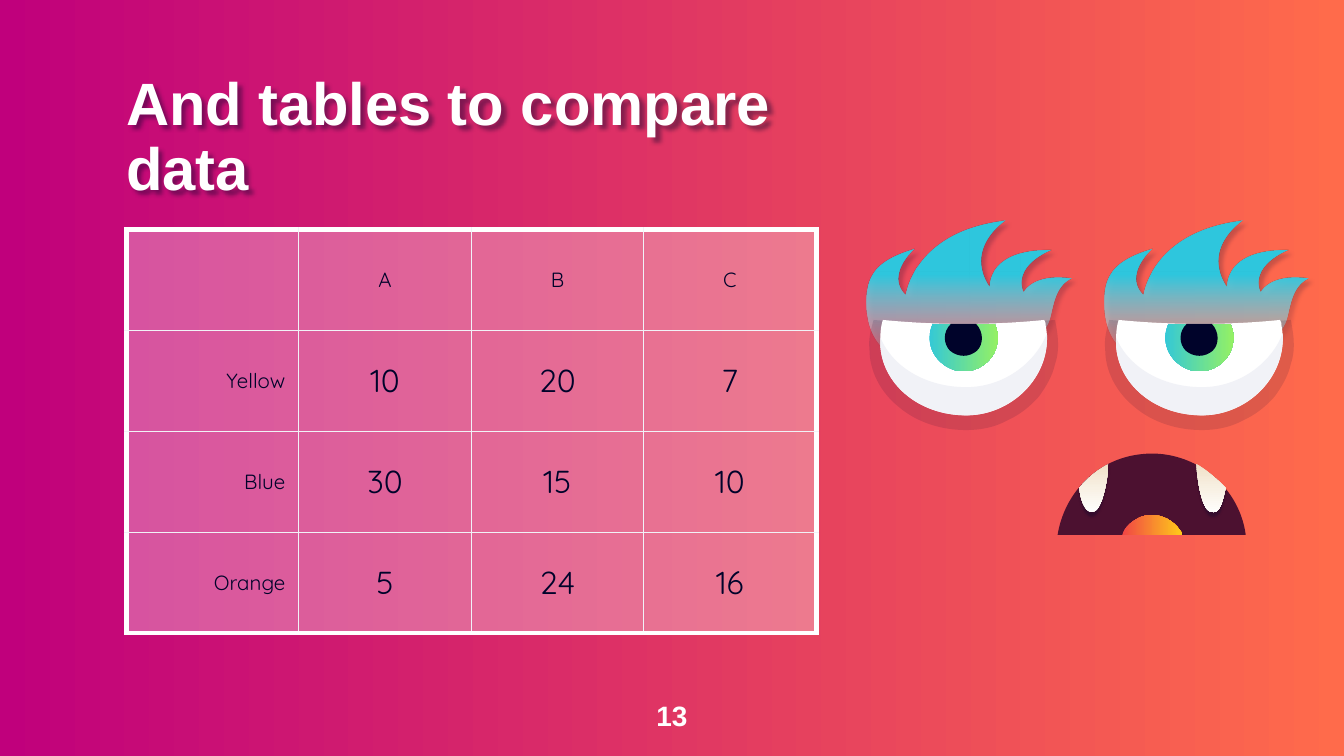
from dataclasses import dataclass
from typing import Any, Optional

from pptx import Presentation
from pptx.dml.color import RGBColor
from pptx.enum.text import MSO_ANCHOR as Anchor, PP_ALIGN as Align
from pptx.oxml.ns import qn
from pptx.oxml.xmlchemy import OxmlElement
from pptx.util import Pt

NAVY, WHITE, PALE = "00032A", "FFFFFF", "F1F2F7"


@dataclass(frozen=True)
class Stop:
    position: int
    color: str
    opacity: int = 100


@dataclass(frozen=True)
class Shadow:
    opacity: int
    blur: float
    distance: float
    angle: int = 90


@dataclass(frozen=True)
class Part:
    """A closed outline: a start point, then three Bezier points per curve."""
    points: list[tuple[float, float]]
    stops: list[Stop]
    angle: int = 0
    shadow: Optional[Shadow] = None


BROW = Part([
    (561.6, 172.1), (561.6, 172.1), (550.1, 200.2), (512.6, 199.4),
    (469.4, 198), (465.1, 175.7), (464.4, 165.6),
    (463.7, 150.5), (465.8, 140.4), (490.3, 133.2),
    (490.3, 133.2), (474.5, 146.9), (485.3, 157.7),
    (485.3, 157.7), (489.6, 123.8), (538.6, 118.1),
    (538.6, 118.1), (516.2, 132.5), (529.9, 153.4),
    (529.9, 153.4), (528.5, 133.2), (563, 133.9),
    (563, 133.9), (542.2, 141.8), (547.9, 156.2),
    (551.5, 150.5), (560.2, 146.9), (573.8, 149),
    (563.8, 153.4), (563.8, 167), (561.6, 172.1),
], [Stop(0, "2EC6DD"), Stop(35, "2EC6DD"), Stop(100, WHITE, 0)], 90, Shadow(20, 2.2, 3, 45))

SOCKET = Part([
    (565.2, 171.4), (548.6, 172.8), (532.8, 173.5), (516.2, 173.5),
    (500.4, 173.5), (483.8, 172.8), (468, 171.4),
    (466.6, 176.4), (465.1, 181.4), (465.8, 187.2),
    (465.8, 198.7), (471.6, 210.2), (481.7, 218.2),
    (491, 226.1), (504, 230.4), (517.7, 230.4),
    (524.9, 230.4), (532.8, 229), (539.3, 225.4),
    (545.8, 222.5), (551.5, 218.2), (556.6, 212.4),
    (560.2, 207.4), (563.8, 201.6), (565.2, 195.1),
    (567.4, 188.6), (567.4, 182.2), (565.2, 171.4),
], [Stop(0, "09052E", 12)])
EYEBALL = Part([
    (559.4, 171.4), (545.8, 172.8), (531.4, 173.5), (516.2, 173.5),
    (501.8, 173.5), (487.4, 172.8), (473, 171.4),
    (471.6, 175.7), (471.6, 180), (471.6, 184.3),
    (472.3, 205.2), (491.8, 222.5), (517.7, 222.5),
    (543.6, 222.5), (565.2, 199.4), (560.2, 174.2),
    (560.2, 173.5), (560.2, 172.1), (559.4, 171.4),
], [Stop(0, WHITE)])
EYE_SHADE = Part([
    (517.7, 207.4), (496.1, 207.4), (478.1, 196.6), (471.6, 180.7),
    (471.6, 181.4), (471.6, 182.9), (471.6, 184.3),
    (472.3, 205.2), (491.8, 222.5), (517.7, 222.5),
    (541.4, 222.5), (562.3, 202.3), (560.9, 178.6),
    (554.4, 195.1), (537.1, 207.4), (517.7, 207.4),
], [Stop(0, PALE)])
IRIS = Part([
    (499.7, 173.5), (495.4, 182.9), (499.7, 193), (509, 197.3),
    (517.7, 201.6), (528.5, 197.3), (532.8, 188.6),
    (535, 183.6), (535, 177.8), (532.8, 173.5),
], [Stop(0, "2EC6DD"), Stop(100, "95F163")])
PUPIL = Part([
    (509.5, 173.5), (504.9, 177.8), (505.4, 184.3), (509, 187.9),
    (513.4, 191.5), (519.1, 191.5), (523.4, 187.9),
    (527, 184.3), (527, 177.8), (522.9, 173.5),
], [Stop(0, NAVY)])
EYE = [SOCKET, EYEBALL, EYE_SHADE, IRIS, PUPIL]

TOOTH_STOPS = [Stop(0, "F0E0C7"), Stop(50, "F8F1E4"), Stop(100, WHITE)]
TOOTH_SHADOW = Shadow(30, 1.1, 2.2)
MOUTH = [
    Part([(667.4, 286.6), (663.8, 259.2), (637.9, 239.8), (610.6, 243.4),
          (587.5, 246.2), (570.2, 264.2), (566.6, 286.6)], [Stop(0, "4C1130")]),
    Part([(633.6, 286.6), (629.3, 277.9), (619.2, 273.6), (610.6, 277.2),
          (606.2, 279.4), (602.6, 282.2), (601.2, 286.6)],
         [Stop(0, "F14545"), Stop(100, "FFCC19")]),
    Part([(594, 248.4), (587.5, 252), (582.5, 256.3), (578.2, 261.4),
          (578.9, 267.8), (581, 273.6), (584.6, 274.3),
          (590.4, 275), (593.3, 257), (594, 248.4)], TOOTH_STOPS, 90, TOOTH_SHADOW),
    Part([(656.6, 261.4), (651.6, 256.3), (646.6, 252), (640.8, 248.4),
          (641.5, 256.3), (643.7, 275.8), (650.2, 274.3),
          (653.8, 274.3), (655.2, 267.8), (656.6, 261.4)], TOOTH_STOPS, 90, TOOTH_SHADOW),
]
TABLE_ROWS = [["", "A", "B", "C"], ["Yellow", "10", "20", "7"],
              ["Blue", "30", "15", "10"], ["Orange", "5", "24", "16"]]


def rgb(color: str) -> RGBColor:
    return RGBColor.from_string(color)


def add_element(parent: Any, tag: str, **attributes: Any) -> Any:
    element = OxmlElement(tag)
    for name, value in attributes.items():
        element.set(name, str(value))
    parent.append(element)
    return element


def add_color(parent: Any, color: str, opacity: int = 100) -> None:
    element = add_element(parent, "a:srgbClr", val=str(rgb(color)))
    if opacity < 100:
        add_element(element, "a:alpha", val=opacity * 1000)


def set_fill(fill: Any, properties: Any, stops: list[Stop], angle: int = 0) -> None:
    """Fill solid for one stop, otherwise with a gradient turned clockwise."""
    if len(stops) == 1:
        fill.solid()
        holder = properties.find(qn("a:solidFill"))
        add_color(holder, stops[0].color, stops[0].opacity)
        return
    fill.gradient()
    fill.gradient_angle = -angle % 360
    holder = properties.find(qn("a:gradFill")).find(qn("a:gsLst"))
    for default_stop in list(holder):
        holder.remove(default_stop)
    for stop in stops:
        element = add_element(holder, "a:gs", pos=stop.position * 1000)
        add_color(element, stop.color, stop.opacity)


def set_shadow(shape: Any, shadow: Optional[Shadow]) -> None:
    shape.shadow.inherit = False
    if shadow:
        effects = shape._element.spPr.find(qn("a:effectLst"))
        element = add_element(effects, "a:outerShdw", blurRad=Pt(shadow.blur),
                              dist=Pt(shadow.distance), dir=shadow.angle * 60000,
                              algn="bl", rotWithShape=0)
        add_color(element, NAVY, shadow.opacity)


def curve_segments(shape: Any) -> None:
    """Join every three line segments of a freeform into one Bezier curve."""
    lines = list(shape._element.iter(qn("a:lnTo")))
    for first in range(0, len(lines), 3):
        curve = OxmlElement("a:cubicBezTo")
        lines[first].addprevious(curve)
        for line in lines[first:first + 3]:
            curve.append(line[0])
            line.getparent().remove(line)


def draw_part(shapes: Any, part: Part, offset: float = 0) -> None:
    start, *rest = [(Pt(x + offset), Pt(y)) for x, y in part.points]
    builder = shapes.build_freeform(*start)
    builder.add_line_segments(rest, close=True)
    shape = builder.convert_to_shape()
    curve_segments(shape)
    set_fill(shape.fill, shape._element.spPr, part.stops, part.angle)
    shape.line.fill.background()
    set_shadow(shape, part.shadow)


def draw_group(shapes: Any, parts: list[Part], offset: float = 0) -> None:
    group = shapes.add_group_shape()
    for part in parts:
        draw_part(group.shapes, part, offset)


def format_text(paragraph: Any, size: float, font_name: str, color: str,
                align: Align, bold: bool = False) -> None:
    paragraph.alignment = align
    for run in paragraph.runs:
        run.font.size, run.font.name, run.font.bold = Pt(size), font_name, bold
        run.font.color.rgb = rgb(color)


def draw_text(shapes: Any, text: str, left: float, top: float, width: float, height: float,
              size: float, align: Align, anchor: Anchor) -> Any:
    box = shapes.add_textbox(Pt(left), Pt(top), Pt(width), Pt(height))
    frame = box.text_frame
    frame.margin_left = frame.margin_right = frame.margin_top = frame.margin_bottom = 0
    frame.word_wrap, frame.vertical_anchor = True, anchor
    frame.text = text
    format_text(frame.paragraphs[0], size, "Arial", WHITE, align, bold=True)
    return box


def set_borders(properties: Any, outer_sides: dict[str, bool]) -> None:
    for index, (side, outer) in enumerate(outer_sides.items()):
        line = OxmlElement(f"a:ln{side}")
        line.set("w", str(Pt(3 if outer else 0.75)))
        add_color(add_element(line, "a:solidFill"), WHITE if outer else PALE)
        properties.insert(index, line)


def draw_table(shapes: Any, rows: list[list[str]], left: float, top: float,
               column_width: float, row_height: float) -> None:
    last_row, last_column = len(rows) - 1, len(rows[0]) - 1
    table = shapes.add_table(len(rows), len(rows[0]), Pt(left), Pt(top),
                             Pt(column_width * len(rows[0])), Pt(row_height * len(rows))).table
    table.first_row = table.horz_banding = False
    for r, row in enumerate(rows):
        for c, text in enumerate(row):
            cell = table.cell(r, c)
            cell.margin_left = cell.margin_right = Pt(7.2)
            cell.margin_top = cell.margin_bottom = Pt(5)
            cell.vertical_anchor = Anchor.MIDDLE
            cell.text = text
            format_text(cell.text_frame.paragraphs[0], 17 if r and c else 11, "Quicksand",
                        NAVY, Align.CENTER if c else Align.RIGHT)
            properties = cell._tc.get_or_add_tcPr()
            set_fill(cell.fill, properties, [Stop(0, WHITE, 30)])
            set_borders(properties, {"L": c == 0, "R": c == last_column,
                                     "T": r == 0, "B": r == last_row})


def main() -> None:
    presentation = Presentation()
    presentation.slide_width, presentation.slide_height = Pt(720), Pt(405)
    slide = presentation.slides.add_slide(presentation.slide_layouts[6])
    background = slide.background.fill
    background.gradient()
    background.gradient_angle = 0
    for stop, color in zip(background.gradient_stops, ("C0007C", "FF6B4B")):
        stop.color.rgb = rgb(color)

    shapes = slide.shapes
    for offset in (0, 127.4):
        draw_part(shapes, BROW, offset)
    title = draw_text(shapes, "And tables to compare data", 67.7, 77.8, 369.4, 31,
                      32, Align.LEFT, Anchor.BOTTOM)
    title.text_frame.paragraphs[0].line_spacing = 0.9
    set_shadow(title, Shadow(40, 2.2, 2.2, 45))
    draw_table(shapes, TABLE_ROWS, 67.7, 123.1, 92.4, 54)
    draw_text(shapes, "13", 338.4, 367.9, 43.2, 31, 15, Align.CENTER, Anchor.MIDDLE)
    draw_group(shapes, EYE)
    draw_group(shapes, MOUTH)
    draw_group(shapes, EYE, 126.3)
    presentation.save("out.pptx")


if __name__ == "__main__":
    main()
